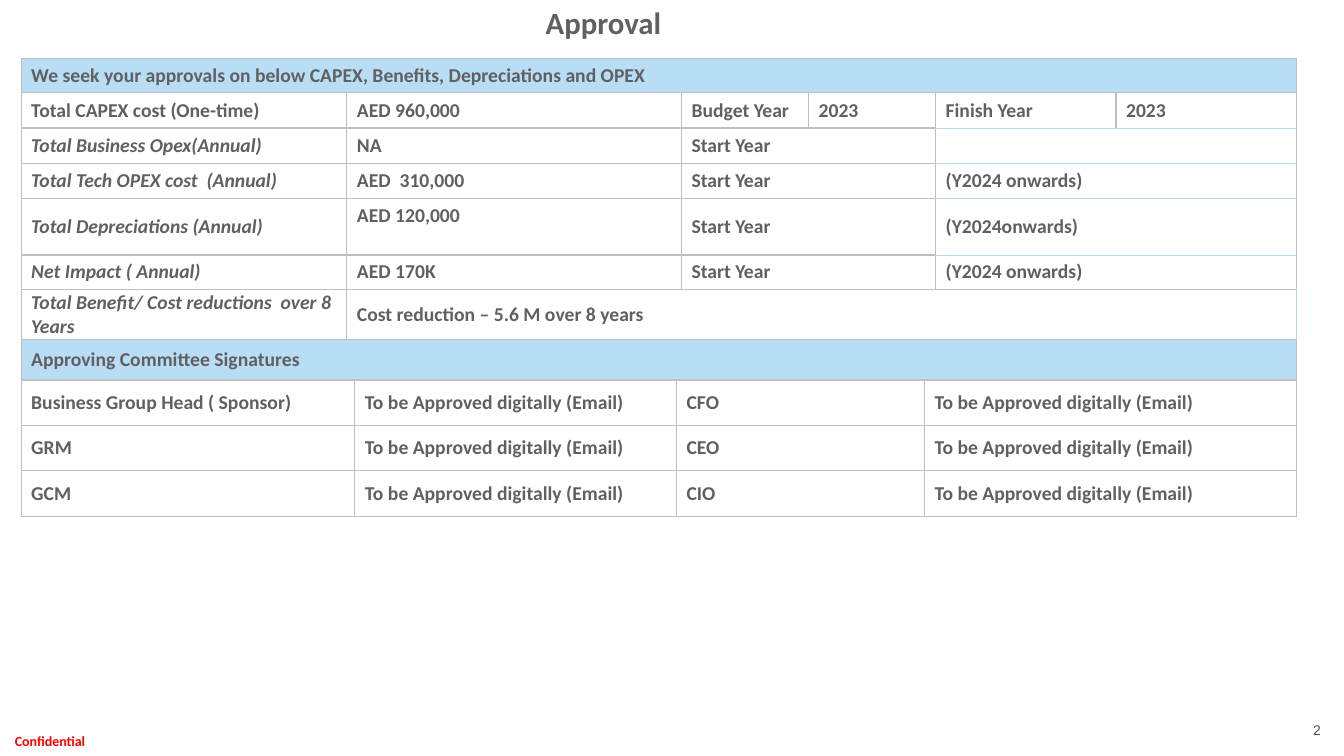
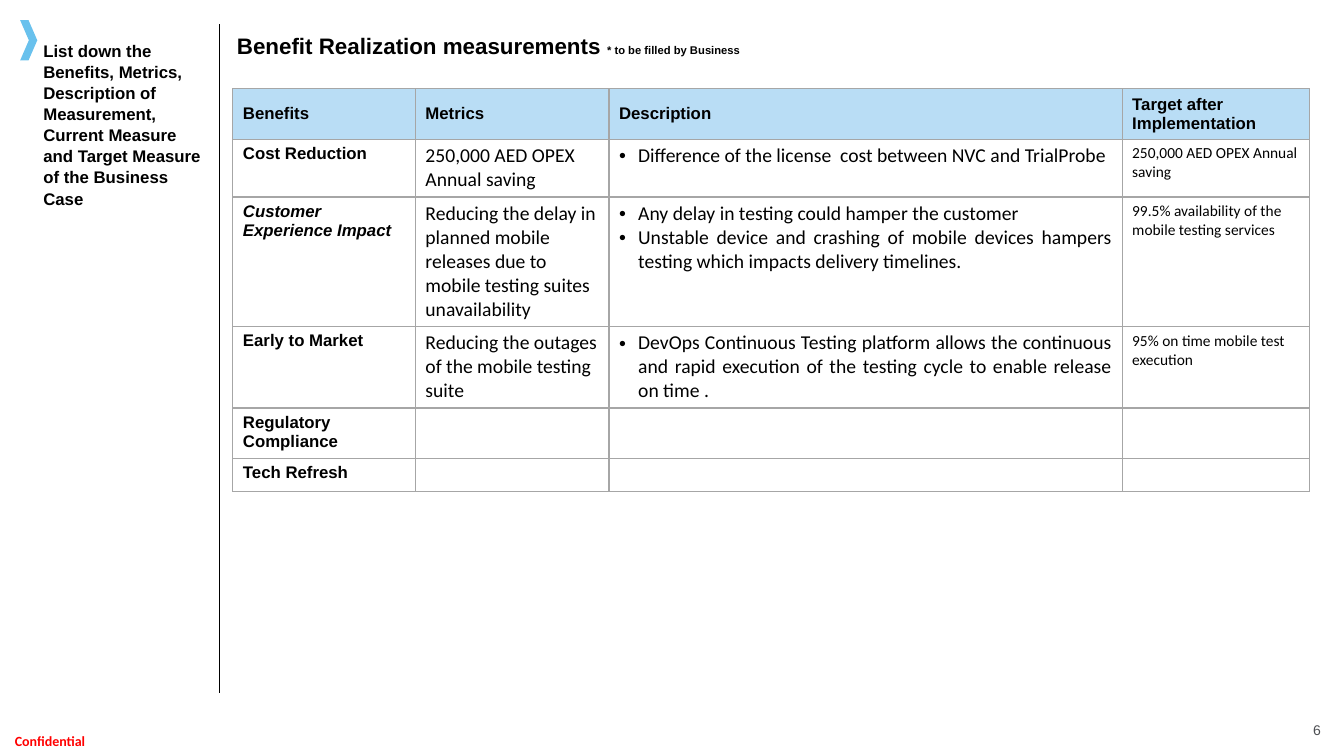
from dataclasses import dataclass, replace
from typing import Optional, Sequence

from lxml.etree import SubElement, fromstring
from pptx import Presentation
from pptx.dml.color import RGBColor
from pptx.enum.shapes import MSO_CONNECTOR, MSO_SHAPE
from pptx.enum.text import MSO_ANCHOR, MSO_AUTO_SIZE, PP_ALIGN
from pptx.oxml.ns import nsdecls, qn
from pptx.slide import Slide
from pptx.table import _Cell
from pptx.text.text import TextFrame, _Paragraph
from pptx.util import Emu, Inches, Pt

SLIDE_WIDTH, SLIDE_HEIGHT = Inches(13.33), Inches(7.5)
GRID_COLUMNS, GRID_ROWS = 133.3, 75

BLACK = RGBColor(0x00, 0x00, 0x00)
RED = RGBColor(0xFF, 0x00, 0x00)
SLATE = RGBColor(0x60, 0x60, 0x60)
PAGE_GREY = RGBColor(0x4D, 0x4F, 0x53)
RULE_GREY = RGBColor(0xBF, 0xBF, 0xBF)
RULE_DARK = RGBColor(0xA6, 0xA6, 0xA6)
RULE_BLUE = RGBColor(0xB3, 0xD8, 0xF0)
BAND_BLUE = RGBColor(0xB9, 0xDD, 0xF5)
CHEVRON_BLUE = RGBColor(0x69, 0xC1, 0xED)


@dataclass(frozen=True)
class Box:
    """A place on the slide, in grid columns and rows."""
    left: float
    top: float
    width: float
    height: float

    def emu(self) -> tuple[Emu, Emu, Emu, Emu]:
        """Return left, top, width and height as lengths."""
        return (across(self.left), down(self.top),
                across(self.width), down(self.height))


@dataclass(frozen=True)
class Style:
    """How a paragraph looks."""
    font: str
    size: float
    color: RGBColor
    bold: bool = False
    italic: bool = False
    align: PP_ALIGN = PP_ALIGN.LEFT
    bulleted: bool = False
    line_spacing: Optional[float] = None


@dataclass(frozen=True)
class Entry:
    """One table cell; soft names the edges drawn in light blue."""
    text: str
    style: Style
    span: int = 1
    soft: str = ""
    anchor: MSO_ANCHOR = MSO_ANCHOR.MIDDLE
    padding: float = 0.1
    band: bool = False


@dataclass(frozen=True)
class Grid:
    """A table: its corner, track sizes, rule colour and entries."""
    left: float
    top: float
    columns: Sequence[float]
    rows: Sequence[float]
    rule: RGBColor
    entries: Sequence[Sequence[Entry]]


CONFIDENTIAL = Style("Calibri", 10, RED, bold=True, align=PP_ALIGN.CENTER)
PAGE_NUMBER = Style("Arial", 10, PAGE_GREY, align=PP_ALIGN.RIGHT)
APPROVAL_TITLE = Style("Calibri", 22, SLATE, bold=True,
                       align=PP_ALIGN.CENTER, line_spacing=Pt(24))
BENEFIT_TITLE = Style("Arial", 16, BLACK, bold=True, line_spacing=Pt(24))
SIDE_NOTE = Style("Arial", 12, BLACK, bold=True, line_spacing=1.05)
APPROVAL = Style("Calibri", 14, SLATE, bold=True)
APPROVAL_ITALIC = replace(APPROVAL, italic=True)
BENEFIT = Style("Arial", 12, BLACK, bold=True)
BENEFIT_ITALIC = replace(BENEFIT, italic=True)
METRIC = Style("Calibri", 14, BLACK)
DESCRIPTION = replace(METRIC, align=PP_ALIGN.JUSTIFY, bulleted=True)
TARGET = replace(METRIC, size=11)


def across(columns: float) -> Emu:
    """Turn grid columns into a length."""
    return Emu(round(SLIDE_WIDTH * columns / GRID_COLUMNS))


def down(rows: float) -> Emu:
    """Turn grid rows into a length."""
    return Emu(round(SLIDE_HEIGHT * rows / GRID_ROWS))


def style_paragraph(paragraph: _Paragraph, style: Style) -> None:
    """Format one paragraph."""
    paragraph.alignment = style.align
    if style.line_spacing is not None:
        paragraph.line_spacing = style.line_spacing
    if style.bulleted:
        properties = paragraph._p.get_or_add_pPr()
        properties.set("marL", str(across(1.9)))
        properties.set("indent", str(-across(1.9)))
        SubElement(properties, qn("a:buFont")).set("typeface", "Arial")
        SubElement(properties, qn("a:buChar")).set("char", "•")
    font = paragraph.font
    font.name, font.size = style.font, Pt(style.size)
    font.bold, font.italic = style.bold, style.italic
    font.color.rgb = style.color


def set_text(frame: TextFrame, text: str, style: Style) -> None:
    """Fill a text frame, one paragraph per line."""
    frame.text = text
    for paragraph in frame.paragraphs:
        style_paragraph(paragraph, style)


def set_frame(frame: TextFrame, left: float, top: float, right: float,
              bottom: float, anchor: MSO_ANCHOR = MSO_ANCHOR.TOP) -> None:
    """Set wrapping, anchor and insets (in grid units)."""
    frame.word_wrap = True
    frame.auto_size = MSO_AUTO_SIZE.NONE
    frame.vertical_anchor = anchor
    frame.margin_left, frame.margin_right = across(left), across(right)
    frame.margin_top, frame.margin_bottom = down(top), down(bottom)


def add_text(slide: Slide, box: Box, text: str, style: Style,
             inset: tuple[float, float] = (0, 0),
             anchor: MSO_ANCHOR = MSO_ANCHOR.TOP) -> None:
    """Add a text box with equal insets on opposite sides."""
    frame = slide.shapes.add_textbox(*box.emu()).text_frame
    set_frame(frame, *inset, *inset, anchor)
    set_text(frame, text, style)


def add_page(deck: Presentation, number: int, box: Box, title: str,
             style: Style) -> Slide:
    """Add a slide with its title, confidentiality mark and number."""
    slide = deck.slides.add_slide(deck.slide_layouts[5])
    heading = slide.shapes.title
    heading.left, heading.top, heading.width, heading.height = box.emu()
    set_frame(heading.text_frame, 0, 0, 4.5, 0)
    set_text(heading.text_frame, title, style)
    add_text(slide, Box(0, 72.1, 9.9, 2.9), "Confidential", CONFIDENTIAL,
             anchor=MSO_ANCHOR.MIDDLE)
    add_text(slide, Box(100.9, 71.1, 31.1, 3.2), str(number), PAGE_NUMBER,
             inset=(1, 0.5))
    return slide


def set_borders(cell: _Cell, rule: RGBColor, soft: str) -> None:
    """Draw the four edges of a cell."""
    properties = cell._tc.get_or_add_tcPr()
    for position, edge in enumerate("LRTB"):
        color, width = (RULE_BLUE, 0.75) if edge in soft else (rule, 1)
        properties.insert(position, fromstring(
            f'<a:ln{edge} {nsdecls("a")} w="{Pt(width)}"><a:solidFill>'
            f'<a:srgbClr val="{color}"/></a:solidFill></a:ln{edge}>'))


def fill_cell(cell: _Cell, entry: Entry) -> None:
    """Write an entry into its cell."""
    cell.vertical_anchor = entry.anchor
    cell.margin_left = cell.margin_right = across(1)
    cell.margin_top = cell.margin_bottom = down(entry.padding)
    set_text(cell.text_frame, entry.text, entry.style)


def add_grid(slide: Slide, grid: Grid) -> None:
    """Add a table, merging the cells that an entry spans."""
    box = Box(grid.left, grid.top, sum(grid.columns), sum(grid.rows))
    table = slide.shapes.add_table(
        len(grid.rows), len(grid.columns), *box.emu()).table
    table.first_row = table.horz_banding = False
    for column, width in zip(table.columns, grid.columns):
        column.width = across(width)
    for row, height in zip(table.rows, grid.rows):
        row.height = down(height)
    for row_index, entries in enumerate(grid.entries):
        start = 0
        for entry in entries:
            spanned = [table.cell(row_index, start + step)
                       for step in range(entry.span)]
            for cell in spanned:
                if entry.band:
                    cell.fill.solid()
                    cell.fill.fore_color.rgb = BAND_BLUE
                else:
                    cell.fill.background()
                set_borders(cell, grid.rule, entry.soft)
            if entry.span > 1:
                spanned[0].merge(spanned[-1])
            fill_cell(spanned[0], entry)
            start += entry.span


def cost_row(label: str, amount: str, onwards: str,
             amount_anchor: MSO_ANCHOR = MSO_ANCHOR.MIDDLE) -> list[Entry]:
    """Describe a yearly cost with its start year."""
    padding = 0.5 if amount_anchor == MSO_ANCHOR.TOP else 0.1
    return [Entry(label, APPROVAL_ITALIC),
            Entry(amount, APPROVAL, anchor=amount_anchor, padding=padding),
            Entry("Start Year", APPROVAL, span=2),
            Entry(onwards, APPROVAL, span=2, soft="TB")]


def benefit_row(benefit: str, metric: str = "", description: str = "",
                target: str = "", style: Style = BENEFIT) -> list[Entry]:
    """Describe a benefit and how it is measured."""
    parts = ((benefit, style), (metric, METRIC),
             (description, DESCRIPTION if description else METRIC),
             (target, TARGET))
    return [Entry(text, look, anchor=MSO_ANCHOR.TOP,
                  padding=0.5 if text else 0) for text, look in parts]


def build_approval(deck: Presentation) -> None:
    """Build the approval slide."""
    slide = add_page(deck, 2, Box(4.8, 0.7, 114.6, 5.1), "Approval",
                     APPROVAL_TITLE)
    capex = ("Total CAPEX cost (One-time)", "AED 960,000", "Budget Year",
             "2023", "Finish Year", "2023")
    costs = [
        [Entry("We seek your approvals on below CAPEX, Benefits, "
               "Depreciations and OPEX", APPROVAL, span=6, band=True)],
        [Entry(text, APPROVAL, soft="B" if index > 3 else "")
         for index, text in enumerate(capex)],
        cost_row("Total Business Opex(Annual)", "NA", ""),
        cost_row("Total Tech OPEX cost  (Annual)", "AED  310,000",
                 "(Y2024 onwards)"),
        cost_row("Total Depreciations (Annual)", "AED 120,000",
                 "(Y2024onwards)", MSO_ANCHOR.TOP),
        cost_row("Net Impact ( Annual)", "AED 170K", "(Y2024 onwards)"),
        [Entry("Total Benefit/ Cost reductions  over 8 Years",
               APPROVAL_ITALIC),
         Entry("Cost reduction – 5.6 M over 8 years", APPROVAL, span=5,
               soft="R")],
    ]
    add_grid(slide, Grid(2.1, 5.8, (32.3, 33.2, 12.6, 12.6, 17.9, 17.9),
                         (3.4, 3.5, 3.5, 3.5, 5.6, 3.4, 5), RULE_GREY, costs))
    email = "To be Approved digitally (Email)"
    signers = (("Business Group Head ( Sponsor)", "CFO"), ("GRM", "CEO"),
               ("GCM", "CIO"))
    signatures = [[Entry("Approving Committee Signatures", APPROVAL, span=4,
                         band=True)]]
    signatures += [[Entry(text, APPROVAL)
                    for text in (first, email, second, email)]
                   for first, second in signers]
    add_grid(slide, Grid(2.1, 33.7, (33.1, 31.9, 24.6, 36.9),
                         (4, 4.5, 4.5, 4.5), RULE_GREY, signatures))


def build_benefits(deck: Presentation) -> None:
    """Build the benefit measurement slide."""
    slide = add_page(deck, 6, Box(23.5, 2.5, 70.4, 4.4),
                     "Benefit Realization measurements ", BENEFIT_TITLE)
    remark = slide.shapes.title.text_frame.paragraphs[0].add_run()
    remark.text = "* to be filled by Business"
    remark.font.size = Pt(8)
    add_text(slide, Box(4.1, 3.9, 16.4, 16.6),
             "List down the Benefits, Metrics, Description of Measurement, "
             "Current Measure and Target Measure of the Business Case",
             SIDE_NOTE, inset=(0.2, 0))
    divider = slide.shapes.add_connector(
        MSO_CONNECTOR.STRAIGHT, across(21.8), down(2.4), across(21.8),
        down(68.8))
    divider.line.color.rgb, divider.line.width = BLACK, Pt(0.5)
    SubElement(divider._element.spPr, qn("a:effectLst"))
    chevron = slide.shapes.add_shape(MSO_SHAPE.CHEVRON,
                                     *Box(2, 2, 1.7, 4).emu())
    chevron.adjustments[0] = 0.51
    chevron.shadow.inherit = False
    chevron.fill.solid()
    chevron.fill.fore_color.rgb = CHEVRON_BLUE
    chevron.line.fill.background()
    headings = ("Benefits", "Metrics", "Description",
                "Target after Implementation")
    benefits = [
        [Entry(text, BENEFIT, band=True) for text in headings],
        benefit_row("Cost Reduction", "250,000 AED OPEX Annual saving",
                    "Difference of the license  cost between NVC and "
                    "TrialProbe", "250,000 AED OPEX Annual saving"),
        benefit_row("Customer Experience Impact",
                    "Reducing the delay in planned mobile releases due to "
                    "mobile testing suites unavailability",
                    "Any delay in testing could hamper the customer\n"
                    "Unstable device and crashing of mobile devices hampers "
                    "testing which impacts delivery timelines.",
                    "99.5% availability of the mobile testing services",
                    BENEFIT_ITALIC),
        benefit_row("Early to Market",
                    "Reducing the outages of the mobile testing suite",
                    "DevOps Continuous Testing platform allows the "
                    "continuous and rapid execution of the testing cycle to "
                    "enable release on time .",
                    "95% on time mobile test execution"),
        benefit_row("Regulatory Compliance"),
        benefit_row("Tech Refresh"),
    ]
    add_grid(slide, Grid(23.1, 8.8, (18.1, 19.2, 50.9, 18.6),
                         (5, 5.7, 12.7, 8, 5, 3.3), RULE_DARK, benefits))


def main() -> None:
    """Build and save the deck."""
    deck = Presentation()
    deck.slide_width, deck.slide_height = SLIDE_WIDTH, SLIDE_HEIGHT
    build_approval(deck)
    build_benefits(deck)
    deck.save("out.pptx")


main()
